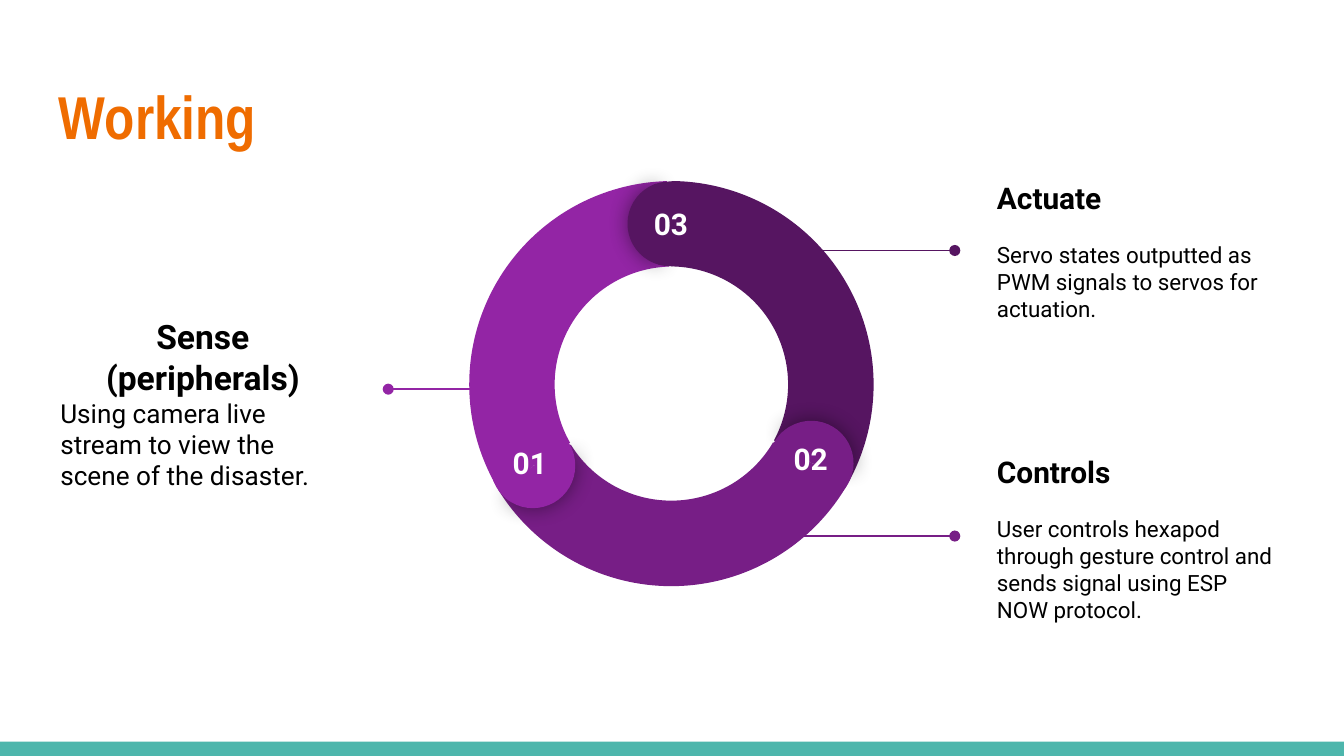
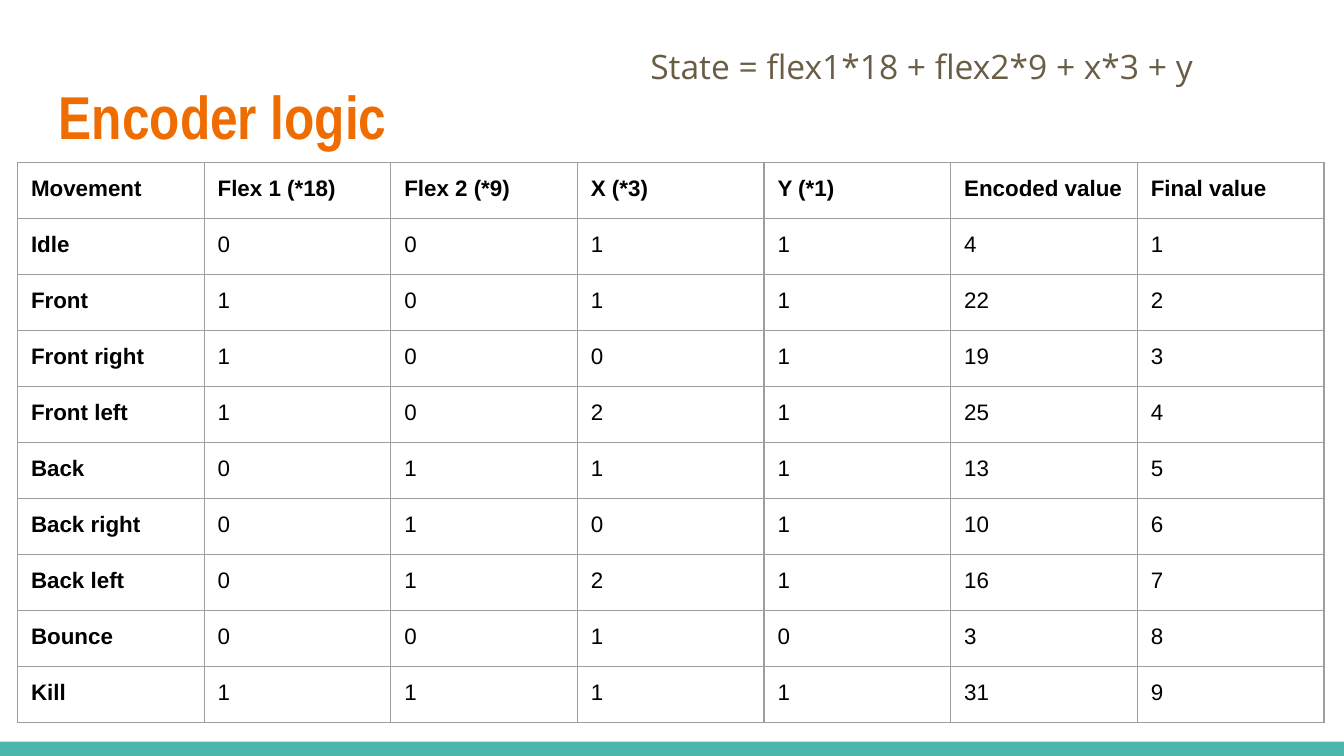
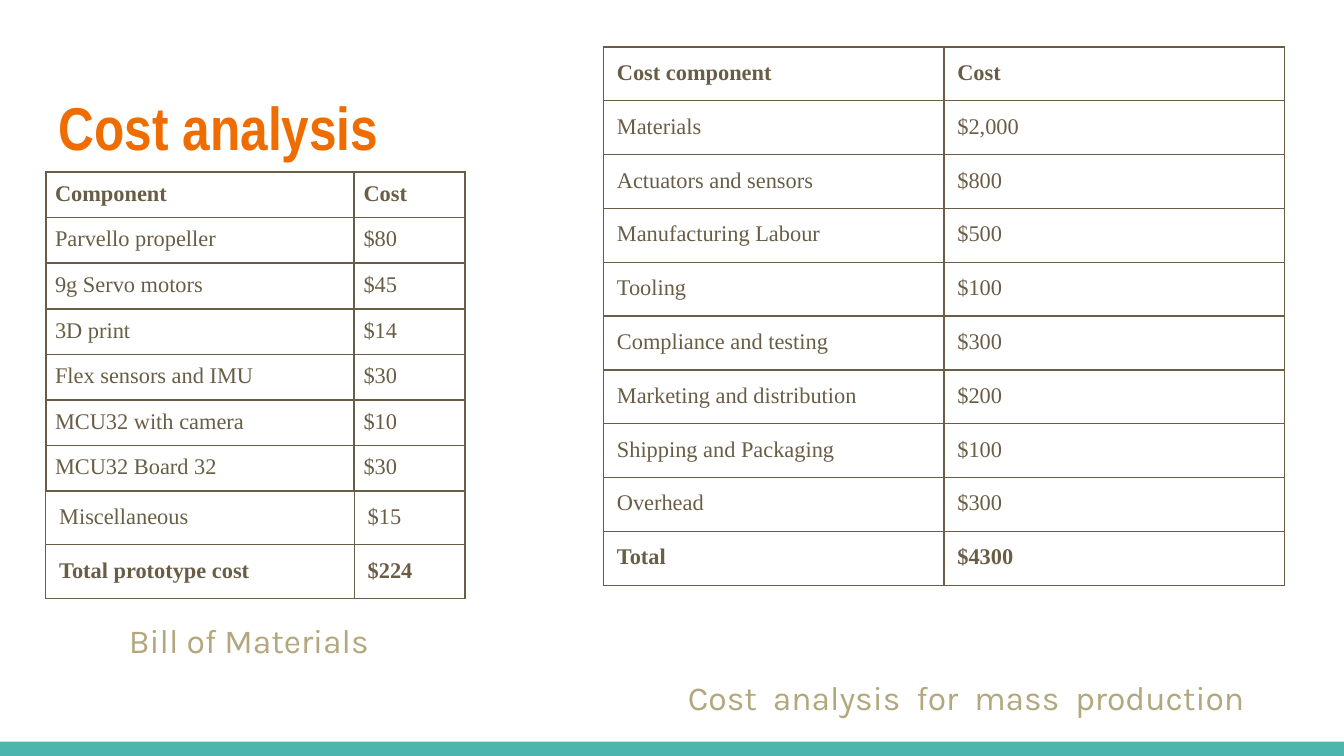
from lxml.etree import SubElement
from pptx import Presentation
from pptx.dml.color import RGBColor
from pptx.enum.shapes import MSO_CONNECTOR, MSO_SHAPE
from pptx.enum.text import MSO_ANCHOR, PP_ALIGN
from pptx.oxml.ns import qn
from pptx.util import Pt

ORANGE, TEAL, BROWN, SAND = "EF6C00", "4DB6AC", "695D46", "B3A77D"
DARK, MID, LIGHT = "561561", "771E86", "9325A5"
BLACK, WHITE, GREY = "000000", "FFFFFF", "9E9E9E"
INSET = 7.2


def hue(code):
    return RGBColor.from_string(code)


def write(slide, box, lines, font, color, anchor=MSO_ANCHOR.TOP):
    """Add a text box; each line is (text, size, bold, align, space after, line spacing)."""
    frame = slide.shapes.add_textbox(*map(Pt, box)).text_frame
    frame.word_wrap = True
    frame.vertical_anchor = anchor
    frame.margin_left = frame.margin_right = Pt(INSET)
    frame.margin_top = frame.margin_bottom = Pt(INSET)
    for i, (text, size, bold, align, after, spacing) in enumerate(lines):
        para = frame.add_paragraph() if i else frame.paragraphs[0]
        para.text = text
        para.alignment = align
        para.space_after = Pt(after)
        para.line_spacing = spacing
        para.font.name, para.font.size, para.font.bold = font, Pt(size), bold
        para.font.color.rgb = hue(color)


deck = Presentation()
deck.slide_width, deck.slide_height = Pt(720), Pt(405)
left, center = PP_ALIGN.LEFT, PP_ALIGN.CENTER

# Shared title and bottom band
pages = []
for title, spacing in [("Working", 1.0), ("Encoder logic", 1.0), ("Cost analysis", 1.15)]:
    page = deck.slides.add_slide(deck.slide_layouts[6])
    band = page.shapes.add_shape(MSO_SHAPE.RECTANGLE, Pt(0), Pt(397.4), Pt(720), Pt(7.6))
    band.shadow.inherit = False
    band.fill.solid()
    band.fill.fore_color.rgb = hue(TEAL)
    band.line.fill.background()
    write(page, (24.5, 35.3, 671, 55.4), [(title, 32.4, True, left, 0, spacing)],
          "Arial Narrow", ORANGE)
    pages.append(page)
working, encoder, costs = pages

# Working: step texts
steps = [
    ((25.2, 156.2, 167, 120.2), "Sense (peripherals)", 18, center, 0,
     "Using camera live stream to view the scene of the disaster.", 14),
    ((527, 83.5, 167, 101.5), "Actuate", 16, left, 14,
     "Servo states outputted as PWM signals to servos for actuation.", 12),
    ((527, 237.6, 167, 101.5), "Controls", 16, left, 14,
     "User controls hexapod through gesture control and sends signal using ESP NOW protocol.", 12),
]
for box, head, big, align, gap, body, small in steps:
    write(working, box, [(head, big, True, align, gap, 1.0), (body, small, False, left, 0, 1.0)],
          "Roboto", BLACK, MSO_ANCHOR.MIDDLE)

# Working: leader lines with a dot at the far end
for start, end, y, color in [(258, 208, 208.5, LIGHT), (410, 511.5, 134.2, DARK),
                             (410, 511.5, 287.2, MID)]:
    line = working.shapes.add_connector(MSO_CONNECTOR.STRAIGHT, Pt(start), Pt(y), Pt(end), Pt(y))
    line.line.color.rgb = hue(color)
    line.line.width = Pt(0.75)
    SubElement(line.line._get_or_add_ln(), qn("a:tailEnd"), type="oval")
    SubElement(line._element.spPr, qn("a:effectLst"))

# Working: ring of three arcs, each with a round cap made of two pies
parts = []
for x, y, turn, color in [(250, 97, 60, DARK), (250.6, 96, 180, MID), (251.4, 97, 300, LIGHT)]:
    parts.append((MSO_SHAPE.BLOCK_ARC, x, y, 218, turn, (126.23, 197, 0.21), color, False))
caps = [(262.8, 226.8, 240.6, LIGHT), (336.2, 97.2, 0.7, DARK), (411.8, 225.4, 120.7, MID)]
for x, y, turn, color in caps:
    parts.append((MSO_SHAPE.PIE, x, y, 45.4, turn, (61.9, 149.96), color, True))
    parts.append((MSO_SHAPE.PIE, x, y, 45.4, (turn + 179.4) % 360, (40.28, 171.84), color, False))

for kind, x, y, size, turn, adjust, color, glow in parts:
    part = working.shapes.add_shape(kind, Pt(x), Pt(y), Pt(size), Pt(size))
    part.rotation = turn
    for i, value in enumerate(adjust):
        part.adjustments[i] = value
    part.fill.solid()
    part.fill.fore_color.rgb = hue(color)
    part.line.fill.background()
    part.shadow.inherit = False
    if glow:
        effects = part._element.spPr.find(qn("a:effectLst"))
        shadow = SubElement(effects, qn("a:outerShdw"), blurRad=str(Pt(11.2)), dist="0",
                            dir="0", algn="ctr", rotWithShape="0")
        tint = SubElement(shadow, qn("a:srgbClr"), val=BLACK)
        SubElement(tint, qn("a:alpha"), val="43000")

for text, x, y in [("03", 339.3, 103), ("01", 263.7, 231.2), ("02", 414.2, 229)]:
    write(working, (x, y, 40.3, 20.9), [(text, 16, True, center, 0, 1.0)], "Roboto", WHITE)

# Formula and table captions
write(encoder, (341.3, 17.3, 331.2, 55.4),
      [("State = flex1*18 + flex2*9 + x*3 + y", 18, False, left, 0, 1.0)], "Open Sans", BROWN)
write(costs, (62, 324.7, 177.8, 43.2),
      [("Bill of Materials", 18, False, left, 0, 1.0)], "Karla", SAND)
write(costs, (361.4, 352, 334, 53),
      [("Cost  analysis  for  mass  production", 18, False, left, 0, 1.15)], "Karla", SAND)

# Table contents
moves = [
    ("Movement", "Flex 1 (*18)", "Flex 2 (*9)", "X (*3)", "Y (*1)", "Encoded value", "Final value"),
    ("Idle", 0, 0, 1, 1, 4, 1),
    ("Front", 1, 0, 1, 1, 22, 2),
    ("Front right", 1, 0, 0, 1, 19, 3),
    ("Front left", 1, 0, 2, 1, 25, 4),
    ("Back", 0, 1, 1, 1, 13, 5),
    ("Back right", 0, 1, 0, 1, 10, 6),
    ("Back left", 0, 1, 2, 1, 16, 7),
    ("Bounce", 0, 0, 1, 0, 3, 8),
    ("Kill", 1, 1, 1, 1, 31, 9),
]
mass = [
    ("Cost component", "Cost"),
    ("Materials", "$2,000"),
    ("Actuators and sensors", "$800"),
    ("Manufacturing Labour", "$500"),
    ("Tooling", "$100"),
    ("Compliance and testing", "$300"),
    ("Marketing and distribution", "$200"),
    ("Shipping and Packaging", "$100"),
    ("Overhead", "$300"),
    ("Total", "$4300"),
]
bill = [
    ("Component", "Cost"),
    ("Parvello propeller", "$80"),
    ("9g Servo motors", "$45"),
    ("3D print", "$14"),
    ("Flex sensors and IMU", "$30"),
    ("MCU32 with camera", "$10"),
    ("MCU32 Board 32", "$30"),
    ("Miscellaneous", "$15"),
    ("Total prototype cost", "$224"),
]

# Tables: page, rows, left, top, widths, heights, font, text and edge colours,
# then (inset, edge width) for the upper rows; the last two rows use the wide inset
tables = [
    (encoder, moves, 9.4, 87, [100] * 7, [30] * 10, "Arial", BLACK, GREY, INSET, 0.75),
    (costs, mass, 323.3, 25.2, [182.4] * 2, [27.8] * 9 + [29], "Times New Roman",
     BROWN, BROWN, INSET, 0.75),
    (costs, bill, 24.5, 92.2, [165.3, 59.3], [23.9] * 7 + [28.6] * 2, "Times New Roman",
     BROWN, BROWN, 5, 1),
]
for page, rows, x, y, widths, heights, font, ink, edge, inset, weight in tables:
    table = page.shapes.add_table(len(rows), len(widths), Pt(x), Pt(y),
                                  Pt(sum(widths)), Pt(sum(heights))).table
    table.first_row = table.horz_banding = False
    for column, width in zip(table.columns, widths):
        column.width = Pt(width)
    for r, row in enumerate(rows):
        table.rows[r].height = Pt(heights[r])
        last = r == len(rows) - 1
        tail = r >= len(rows) - 2
        for c, value in enumerate(row):
            cell = table.cell(r, c)
            pad = Pt(INSET if tail else inset)
            cell.margin_left = cell.margin_right = pad
            cell.margin_top = cell.margin_bottom = pad
            para = cell.text_frame.paragraphs[0]
            para.text = str(value)
            para.font.name, para.font.size = font, Pt(12)
            para.font.bold = r == 0 or (c == 0 if page is encoder else last)
            para.font.color.rgb = hue(ink)
            for side in ("a:lnL", "a:lnR", "a:lnT", "a:lnB"):
                border = SubElement(cell._tc.get_or_add_tcPr(), qn(side),
                                    w=str(Pt(0.75 if tail else weight)))
                SubElement(SubElement(border, qn("a:solidFill")), qn("a:srgbClr"), val=edge)
            cell.fill.background()

deck.save("out.pptx")
